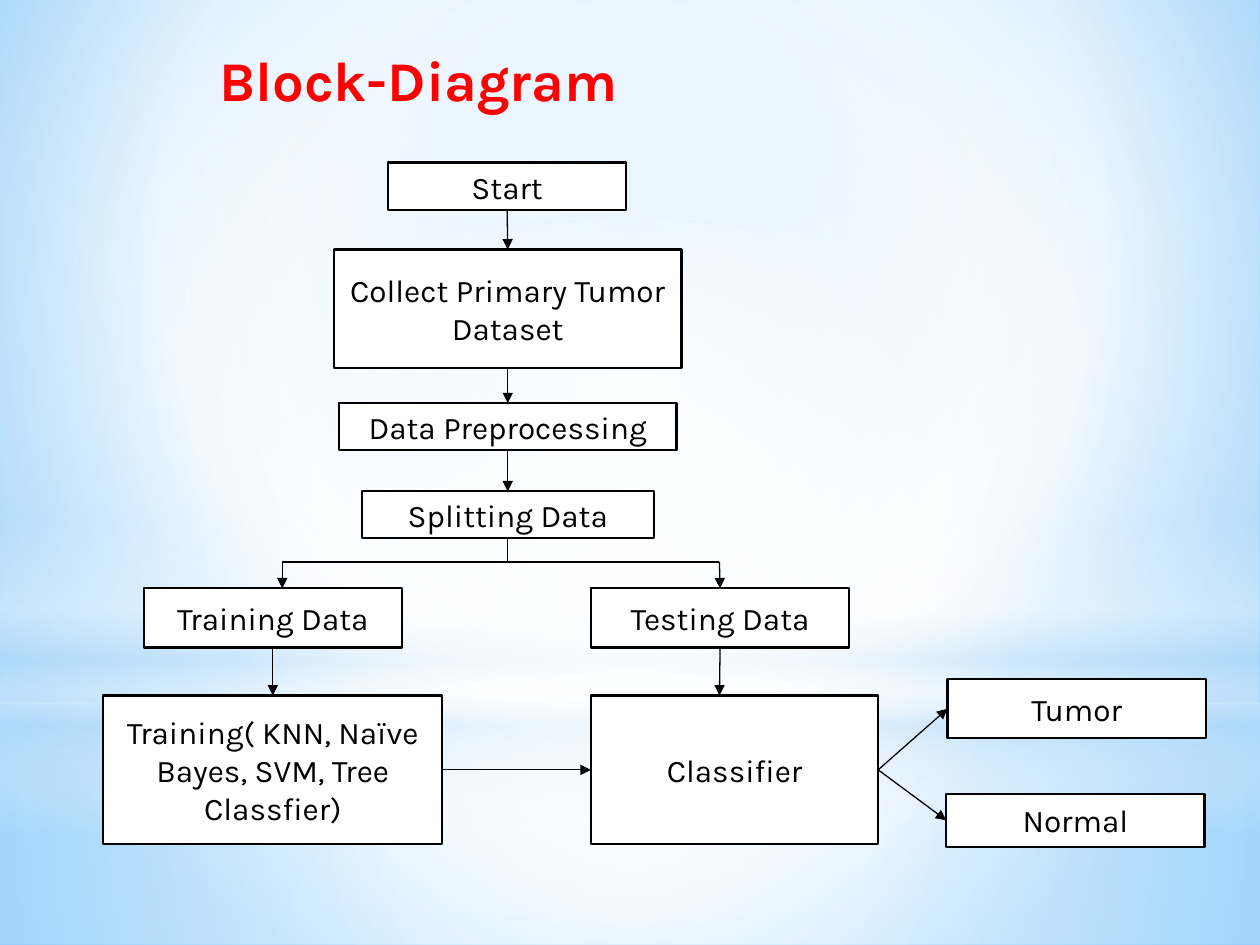
from lxml.etree import SubElement as Sub, fromstring
from pptx import Presentation
from pptx.dml.color import RGBColor
from pptx.enum.shapes import MSO_CONNECTOR as Con, MSO_SHAPE as Kind
from pptx.enum.text import MSO_ANCHOR as Anchor, PP_ALIGN as Align
from pptx.oxml.ns import qn
from pptx.util import Inches, Pt

NS = "http://schemas.openxmlformats.org/drawingml/2006/main"
FONT = "Karla"
BLACK, WHITE, RED, SKY = "000000", "FFFFFF", "FF0000", "B4DCFA"
MID = (50, 50, 50, 50)
TOP, LEFT, BOTTOM, RIGHT = range(4)

BACK = [(0, "9ED5FF", 100), (60, WHITE, 100), (100, "5BB9FF", 100)]
GLOWS = [
    (Kind.RECTANGLE, (0, 5.58, 10, 1.92),
     [(0, WHITE, 91), (37, WHITE, 76), (100, SKY, 79)], MID),
    (Kind.RECTANGLE, (0, 0, 10, 5.58),
     [(0, WHITE, 89), (48, WHITE, 62), (100, SKY, 79)], MID),
    (Kind.RECTANGLE, (0, 4.12, 10, 2.5),
     [(0, WHITE, 0), (29, WHITE, 30), (45, SKY, 40),
      (55, WHITE, 26), (65, SKY, 60), (100, WHITE, 0)], None),
    (Kind.OVAL, (0, 1.75, 10, 5.58), [(0, WHITE, 100), (56, WHITE, 0)], MID),
]
TITLE = ("Block-Diagram", (1.64, 0.31, 7.12, 1.25))
BOXES = {
    "start": ("Start", (3.08, 1.29, 1.89, 0.38)),
    "collect": ("Collect Primary Tumor Dataset", (2.65, 1.98, 2.76, 0.94)),
    "prep": ("Data Preprocessing", (2.69, 3.2, 2.68, 0.37)),
    "split": ("Splitting Data", (2.87, 3.9, 2.32, 0.37)),
    "train": ("Training Data", (1.14, 4.67, 2.05, 0.47)),
    "test": ("Testing Data", (4.69, 4.67, 2.05, 0.47)),
    "learn": ("Training( KNN, Naïve Bayes, SVM, Tree Classfier)",
              (0.82, 5.52, 2.69, 1.18)),
    "class": ("Classifier", (4.69, 5.52, 2.28, 1.18)),
    "tumor": ("Tumor", (7.52, 5.39, 2.05, 0.47)),
    "normal": ("Normal", (7.51, 6.3, 2.05, 0.42)),
}
FORK, FORK_L, FORK_R = (4.03, 4.46), (2.24, 4.46), (5.71, 4.46)
LINES = [
    (("start", BOTTOM), ("collect", TOP), True),
    (("collect", BOTTOM), ("prep", TOP), True),
    (("prep", BOTTOM), ("split", TOP), True),
    (("split", BOTTOM), FORK, False),
    (FORK_L, FORK_R, False),
    (FORK_L, (2.24, 4.67), True),
    (FORK_R, ("test", TOP), True),
    (("train", BOTTOM), ("learn", TOP), True),
    (("test", BOTTOM), (5.71, 5.52), True),
    (("learn", RIGHT), ("class", LEFT), True),
    (("class", RIGHT), ("tumor", LEFT), True),
    (("class", RIGHT), ("normal", LEFT), True),
]


def color(code):
    return RGBColor.from_string(code)


def spread(at):
    return [Inches(v) for v in at]


def blend(stops, focus):
    marks = "".join(
        f'<a:gs pos="{pos * 1000}"><a:srgbClr val="{code}">'
        f'<a:alpha val="{alpha * 1000}"/></a:srgbClr></a:gs>'
        for pos, code, alpha in stops)
    if focus:
        sides = " ".join(f'{k}="{v * 1000}"' for k, v in zip("ltrb", focus))
        way = f'<a:path path="circle"><a:fillToRect {sides}/></a:path>'
    else:
        way = '<a:lin ang="5400000" scaled="0"/>'
    return fromstring(f'<a:gradFill xmlns:a="{NS}" rotWithShape="1">'
                      f'<a:gsLst>{marks}</a:gsLst>{way}</a:gradFill>')


def swap(host, stops, focus):
    host.replace(host.find(qn("a:solidFill")), blend(stops, focus))


def write(frame, text, code, look, align):
    frame.word_wrap = True
    para = frame.paragraphs[0]
    para.alignment = align
    run = para.add_run()
    run.text = text
    for key, val in {"name": FONT, **look}.items():
        setattr(run.font, key, val)
    run.font.color.rgb = color(code)


def shape(kind, at):
    item = slide.shapes.add_shape(kind, *spread(at))
    item.shadow.inherit = False
    item.fill.solid()
    item.fill.fore_color.rgb = color(WHITE)
    return item


def glow(kind, at, stops, focus):
    item = shape(kind, at)
    item.line.fill.background()
    swap(item.element.spPr, stops, focus)


def box(text, at):
    item = shape(Kind.RECTANGLE, at)
    item.line.color.rgb = color(BLACK)
    item.line.width = Pt(1.25)
    item.text_frame.vertical_anchor = Anchor.MIDDLE
    write(item.text_frame, text, BLACK, {"size": Pt(18)}, Align.CENTER)
    return item


def place(end):
    name, side = end
    if name not in BOXES:
        return end
    x, y, w, h = BOXES[name][1]
    return [(x + w / 2, y), (x, y + h / 2),
            (x + w / 2, y + h), (x + w, y + h / 2)][side]


def link(start, end, arrow):
    line = slide.shapes.add_connector(
        Con.STRAIGHT, *spread((*place(start), *place(end))))
    for (name, side), join in ((start, line.begin_connect),
                               (end, line.end_connect)):
        if name in nodes:
            join(nodes[name], side)
    line.line.color.rgb = color(BLACK)
    line.line.width = Pt(0.75)
    if arrow:
        Sub(line.line._get_or_add_ln(), qn("a:tailEnd"), type="triangle")
    Sub(line.element.spPr, qn("a:effectLst"))


deck = Presentation()
deck.slide_width, deck.slide_height = Inches(10), Inches(7.5)
slide = deck.slides.add_slide(deck.slide_layouts[6])
slide.background.fill.solid()
swap(slide.element.find(".//" + qn("p:bgPr")), BACK, (20, 10, 20, 60))
for part in GLOWS:
    glow(*part)
head = slide.shapes.add_textbox(*spread(TITLE[1]))
write(head.text_frame, TITLE[0], RED, {"size": Pt(32), "bold": True}, Align.LEFT)
nodes = {name: box(*part) for name, part in BOXES.items()}
for part in LINES:
    link(*part)
deck.save("out.pptx")
